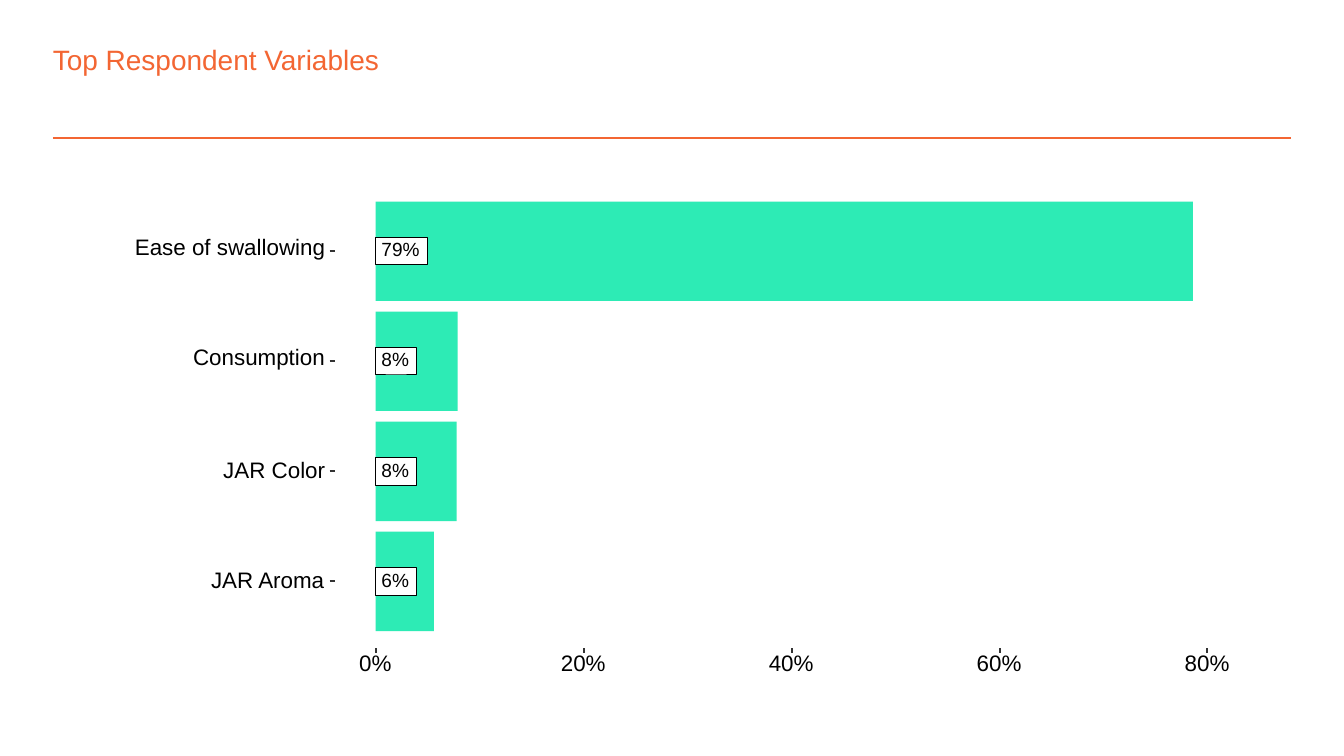
from lxml import etree
from pptx import Presentation, util as u
from pptx.dml.color import RGBColor
from pptx.enum import shapes, text
from pptx.oxml.ns import qn

ORANGE, GREEN, WHITE, BLACK, GREY = "F36633", "2DEBB5", "FFFFFF", "000000", "333333"


def colour(value):
    return RGBColor.from_string(value)


class Painter:
    """Holds the page and its style; all lengths are in centimetres."""
    font = "Arial"

    def __init__(self, page):
        self.page = page

    def rect(self, left, top, width, height, fill, line=None, weight=1.0):
        box = self.page.shapes.add_shape(
            shapes.MSO_SHAPE.RECTANGLE, u.Cm(left), u.Cm(top), u.Cm(width), u.Cm(height))
        box.shadow.inherit = False
        box.fill.solid()
        box.fill.fore_color.rgb = colour(fill)
        if line:
            box.line.color.rgb = colour(line)
            box.line.width = u.Pt(weight)
        else:
            box.line.fill.background()

    def line(self, x1, y1, x2, y2, shade, weight):
        rule = self.page.shapes.add_connector(
            shapes.MSO_CONNECTOR.STRAIGHT, u.Cm(x1), u.Cm(y1), u.Cm(x2), u.Cm(y2))
        rule.line.color.rgb = colour(shade)
        rule.line.width = u.Pt(weight)
        etree.SubElement(rule._element.spPr, qn("a:effectLst"))

    def label(self, words, left, top, width, height, size, shade=BLACK):
        """One line of text, centred vertically in its box."""
        box = self.page.shapes.add_textbox(u.Cm(left), u.Cm(top), u.Cm(width), u.Cm(height))
        frame = box.text_frame
        frame.margin_left = frame.margin_right = frame.margin_top = frame.margin_bottom = 0
        frame.word_wrap = False
        frame.vertical_anchor = text.MSO_ANCHOR.MIDDLE
        para = frame.paragraphs[0]
        para.line_spacing = u.Pt(size)
        span = para.add_run()
        span.text = words
        span.font.name = self.font
        span.font.size = u.Pt(size)
        span.font.color.rgb = colour(shade)


def main():
    deck = Presentation()
    deck.slide_width, deck.slide_height = u.Cm(25.4), u.Cm(14.29)
    painter = Painter(deck.slides.add_slide(deck.slide_layouts[6]))

    # Heading and rule
    painter.line(1, 2.61, 24.4, 2.61, ORANGE, 1)
    painter.label("Top Respondent Variables", 1, 0.85, 21.06, 0.64, 15, ORANGE)

    # Plot background
    painter.rect(1.9, 3.3, 21.6, 10.16, WHITE, WHITE, 1.07)

    # Bars with value tags, category names and ticks
    zero, first_top, pitch, bar_height = 7.1, 3.81, 2.08, 1.88
    per_percent = 3.93 / 20
    names_right = 6.18
    rows = [  # name, percent, width and height of the name
        ("Ease of swallowing", 78.6, 3.63, 0.4),
        ("Consumption", 7.9, 2.53, 0.4),
        ("JAR Color", 7.8, 1.96, 0.3),
        ("JAR Aroma", 5.6, 2.19, 0.3),
    ]
    for index, (name, percent, width, height) in enumerate(rows):
        top = first_top + index * pitch
        middle = top + bar_height / 2
        painter.rect(zero, top, percent * per_percent, bar_height, GREEN)
        value = f"{percent:.0f}%"
        value_width = 0.56 if len(value) == 2 else 0.76
        painter.rect(zero, middle - 0.26, value_width + 0.22, 0.52, WHITE, BLACK, 0.53)
        painter.label(value, zero + 0.11, middle - 0.14, value_width, 0.28, 10.2)
        painter.label(name, names_right - width, middle + 0.16 - height, width, height, 12)
        painter.line(6.23, middle, 6.33, middle, GREY, 1.07)

    # Percent axis
    for percent in range(0, 81, 20):
        x = zero + percent * per_percent
        value = f"{percent}%"
        width = 0.66 if len(value) == 2 else 0.9
        painter.line(x, 12.34, x, 12.24, GREY, 1.07)
        painter.label(value, x - width / 2 + 0.02, 12.4, width, 0.33, 12)

    deck.save("out.pptx")


if __name__ == "__main__":
    main()
